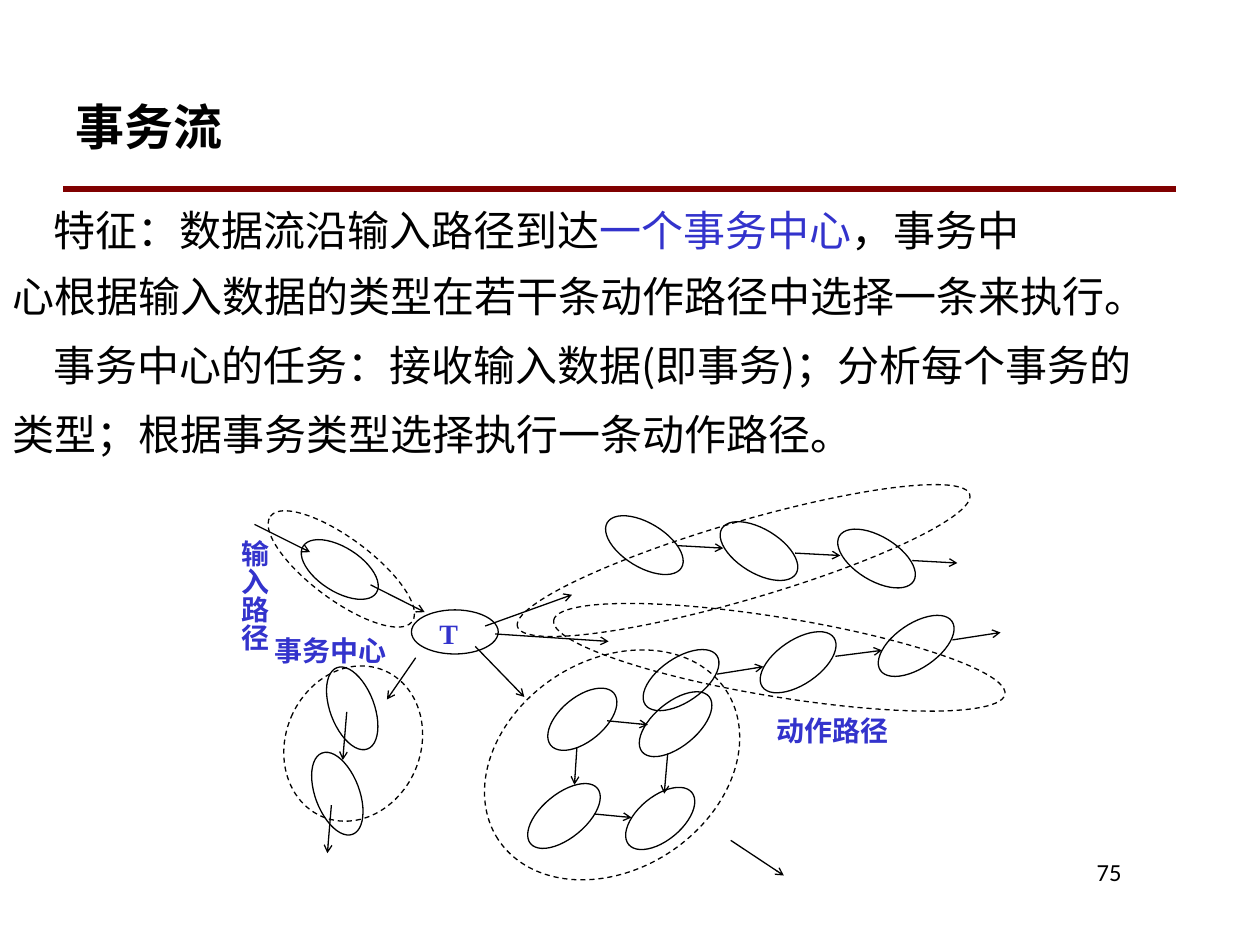
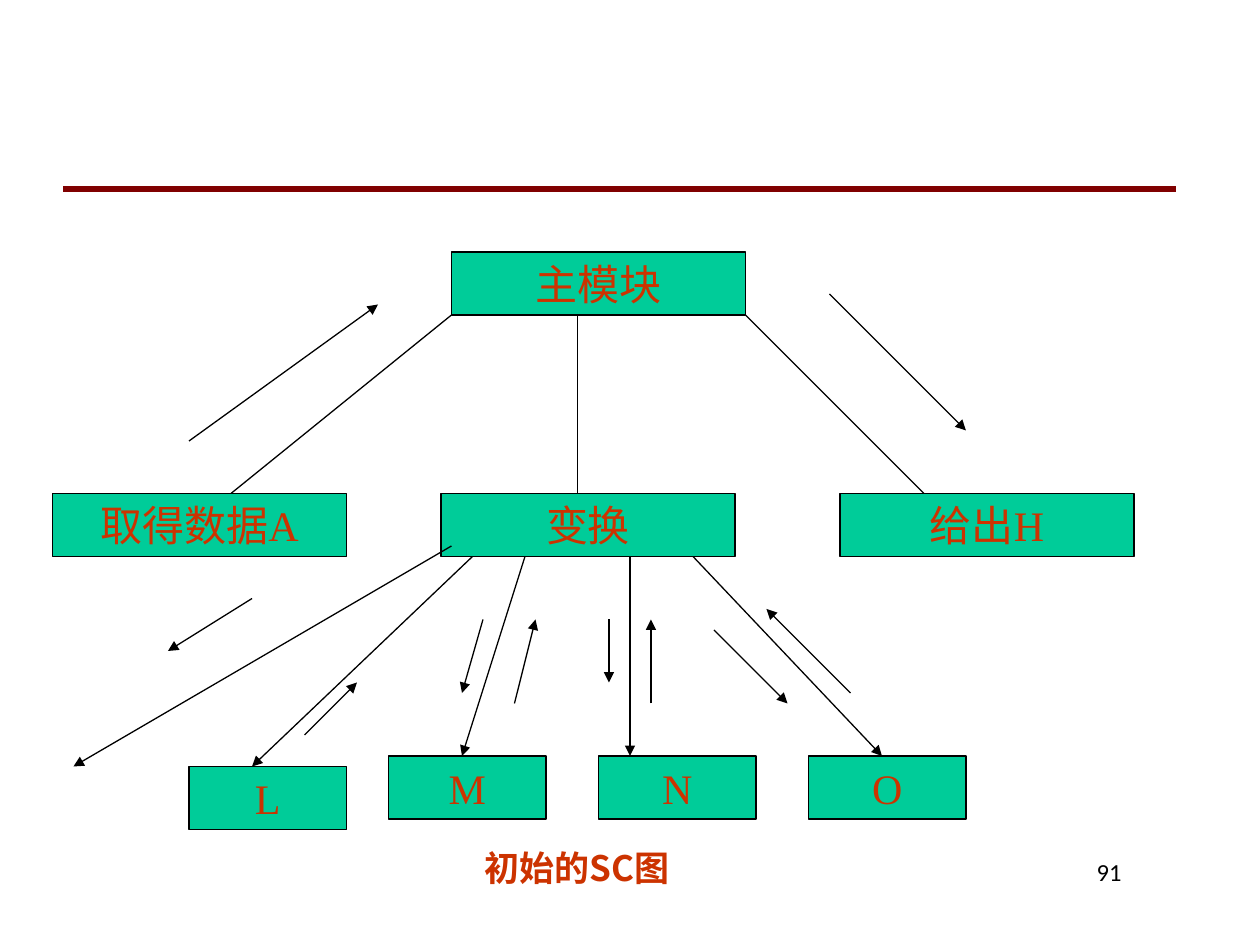
from lxml import etree
from pptx import Presentation
from pptx.dml.color import RGBColor
from pptx.enum.dml import MSO_LINE
from pptx.enum.shapes import MSO_CONNECTOR, MSO_SHAPE
from pptx.enum.text import MSO_ANCHOR, PP_ALIGN
from pptx.oxml.ns import qn
from pptx.util import Cm, Pt

COLORS = {
    "text": "000000",
    "rule": "800000",
    "accent": "3333CC",
    "module": "00CC99",
    "module_text": "CC3300",
}
CJK = "Noto Sans CJK SC"
SERIF = "Times New Roman"
SANS = "Calibri"
GRID = 2.54 / 12  # cm per step of the structure chart's grid


def rgb(name):
    return RGBColor.from_string(COLORS[name])


def style_run(r, size, font, color="text", bold=False):
    r.font.size = Pt(size)
    r.font.name = font
    r.font.bold = bold
    r.font.color.rgb = rgb(color)
    ea = etree.Element(qn("a:ea"), typeface=CJK)
    r.font._element.find(qn("a:latin")).addnext(ea)


def add_text(slide, box, text, size, font, color="text", bold=False,
             align=PP_ALIGN.LEFT, anchor=MSO_ANCHOR.TOP):
    tf = slide.shapes.add_textbox(*map(Cm, box)).text_frame
    tf.word_wrap = True
    tf.vertical_anchor = anchor
    tf.text = text
    p = tf.paragraphs[0]
    p.alignment = align
    style_run(p.runs[0], size, font, color, bold)
    return tf


def add_line(slide, x1, y1, x2, y2, head=None, head_size="med", color="text", width=0.75):
    """Draw a straight line in cm; head names the arrowhead at its end."""
    c = slide.shapes.add_connector(MSO_CONNECTOR.STRAIGHT, Cm(x1), Cm(y1), Cm(x2), Cm(y2))
    c.line.color.rgb = rgb(color)
    c.line.width = Pt(width)
    if head:
        etree.SubElement(c.line._get_or_add_ln(), qn("a:tailEnd"),
                         type=head, w=head_size, len=head_size)
    etree.SubElement(c._element.spPr, qn("a:effectLst"))


def add_outlined(slide, kind, x, y, w, h):
    sp = slide.shapes.add_shape(kind, Cm(x), Cm(y), Cm(w), Cm(h))
    sp.shadow.inherit = False
    sp.line.color.rgb = rgb("text")
    sp.line.width = Pt(0.75)
    return sp


def add_ellipse(slide, cx, cy, angle=0, w=1.75, h=0.89, dashed=False):
    sp = add_outlined(slide, MSO_SHAPE.OVAL, cx - w / 2, cy - h / 2, w, h)
    sp.fill.background()
    sp.rotation = angle
    if dashed:
        sp.line.dash_style = MSO_LINE.DASH


def add_module(slide, text, col, row, cols, rows=6):
    """Draw a module box placed in grid steps."""
    sp = add_outlined(slide, MSO_SHAPE.RECTANGLE, *(n * GRID for n in (col, row, cols, rows)))
    sp.fill.solid()
    sp.fill.fore_color.rgb = rgb("module")
    tf = sp.text_frame
    tf.word_wrap = False
    tf.vertical_anchor = MSO_ANCHOR.MIDDLE
    tf.text = text
    p = tf.paragraphs[0]
    p.alignment = PP_ALIGN.CENTER
    style_run(p.runs[0], 24, SERIF, "module_text")


def add_body(slide, box, paragraphs):
    """Fill a text box; each paragraph is (first-line indent, space before, runs)."""
    tf = slide.shapes.add_textbox(*map(Cm, box)).text_frame
    tf.word_wrap = True
    for i, (indent, before, runs) in enumerate(paragraphs):
        p = tf.paragraphs[0] if i == 0 else tf.add_paragraph()
        p.line_spacing = 1.1
        p.space_before = Pt(before)
        p._p.get_or_add_pPr().set("indent", str(Cm(indent)))
        for text, color in runs:
            r = p.add_run()
            r.text = text
            style_run(r, 24, CJK, color)


def add_slide(prs, number, title=None):
    slide = prs.slides.add_slide(prs.slide_layouts[6])
    add_line(slide, 1.27, 3.81, 23.71, 3.81, color="rule", width=3)
    if title:
        add_text(slide, (1.27, 1.27, 22.43, 2.54), title, 28, SANS, bold=True,
                 anchor=MSO_ANCHOR.MIDDLE)
    add_text(slide, (19.26, 17.15, 3.6, 1.27), str(number), 14, SANS, align=PP_ALIGN.RIGHT)
    return slide


def transaction_flow(prs):
    slide = add_slide(prs, 75, "事务流")
    add_body(slide, (0, 3.89, 24.97, 6.99), [
        (0.82, 0, [("特征：数据流沿输入路径到达", "text"), ("一个事务中心", "accent"),
                   ("，事务中", "text")]),
        (0, 6, [("心根据输入数据的类型在若干条动作路径中选择一条来执行。", "text")]),
        (0.82, 8, [("事务中心的任务：接收输入数据(即事务)；分析每个事务的", "text")]),
        (0, 7.5, [("类型；根据事务类型选择执行一条动作路径。", "text")]),
    ])

    paths = [  # centre, angle, size
        (6.88, 11.47, 36.6, 3.56, 1.24),
        (14.99, 11.3, 343.7, 9.5, 1.57),
        (15.71, 13.25, 9.3, 9.22, 1.6),
        (12.34, 15.42, 326.9, 5.49, 4.22),
        (7.12, 14.99, 23.1, 2.72, 3.2),
    ]
    for path in paths:
        add_ellipse(slide, *path, dashed=True)

    processes = {  # (angle, width): centres
        (0, 1.75): [(9.17, 12.74)],
        (32.5, 1.75): [(6.85, 11.48)],
        (31.3, 1.75): [(12.99, 10.99), (15.3, 11.11), (17.67, 11.26)],
        (325.6, 1.75): [(13.73, 13.71), (16.09, 13.35), (18.47, 13.02)],
        (320.5, 1.75): [(13.62, 14.6), (11.37, 16.45)],
        (320.5, 1.65): [(11.74, 14.5), (13.31, 16.5)],
        (69.4, 1.75): [(7.1, 14.28), (6.8, 16)],
    }
    for (angle, width), centres in processes.items():
        for cx, cy in centres:
            add_ellipse(slide, cx, cy, angle, width)

    flows = [
        # input path
        (5.13, 10.57, 6.25, 11.13), (7.47, 11.79, 8.56, 12.34),
        # out of the transaction centre
        (9.78, 12.62, 11.53, 11.99), (9.98, 12.78, 12.27, 12.93),
        (9.58, 13.03, 10.57, 14.05), (8.38, 13.26, 7.8, 14.1),
        # upper action path
        (13.67, 11, 14.58, 11.05), (16.03, 11.15, 16.94, 11.2), (18.39, 11.3, 19.3, 11.35),
        # middle action path
        (14.45, 13.59, 15.39, 13.44), (16.84, 13.23, 17.78, 13.11), (19.2, 12.9, 20.17, 12.75),
        # lower action path
        (12.24, 14.53, 13.06, 14.61), (11.63, 15.06, 11.58, 15.82),
        (11.99, 16.41, 12.73, 16.48), (13.46, 15.19, 13.39, 16), (14.73, 16.94, 15.8, 17.65),
        # left action path
        (6.99, 14.35, 6.91, 15.32), (6.68, 16.23, 6.6, 17.2),
    ]
    for flow in flows:
        add_line(slide, *flow, head="arrow", head_size="sm")

    label = dict(size=16, font=SERIF, color="accent", bold=True)
    add_text(slide, (15.41, 14.25, 4.93, 0.99), "动作路径", **label)
    add_text(slide, (5.29, 12.65, 4.97, 0.99), "事务中心", **label)
    add_text(slide, (8.61, 12.31, 1.7, 0.84), "T", **label)
    tf = add_text(slide, (3.38, 10.63, 2.21, 2.84), "输入路径", **label)
    tf._txBody.bodyPr.set("vert", "eaVert")
    tf.margin_left = tf.margin_right = Cm(0.13)
    tf.margin_top = tf.margin_bottom = Cm(0.25)


def structure_chart(prs):
    slide = add_slide(prs, 91)
    add_module(slide, "主模块", 43, 24, 28)
    for text, col in (("取得数据A", 5), ("变换", 42), ("给出H", 80)):
        add_module(slide, text, col, 47, 28)
    for text, col, row in (("L", 18, 73), ("M", 37, 72), ("N", 57, 72), ("O", 77, 72)):
        add_module(slide, text, col, row, 15)

    branches = [(43, 30, 22, 47), (55, 30, 55, 47), (71, 30, 88, 47)]
    calls = [(43, 52, 7, 73), (45, 53, 24, 73), (50, 53, 44, 72), (60, 53, 60, 72),
             (66, 53, 84, 72)]
    data_flows = [(18, 42, 36, 29), (79, 28, 92, 41), (24, 57, 16, 62), (29, 70, 34, 65),
                  (46, 59, 44, 66), (49, 67, 51, 59), (58, 59, 58, 65), (62, 67, 62, 59),
                  (68, 60, 75, 67), (81, 66, 73, 58)]
    for lines, head in ((branches, None), (calls + data_flows, "triangle")):
        for ends in lines:
            add_line(slide, *(n * GRID for n in ends), head=head)

    add_text(slide, (9.52, 16.93, 5.5, 1.12), "初始的SC图", 20, CJK, "module_text", bold=True)


def main():
    prs = Presentation()
    prs.slide_width, prs.slide_height = Cm(25.4), Cm(19.05)
    transaction_flow(prs)
    structure_chart(prs)
    prs.save("out.pptx")


if __name__ == "__main__":
    main()
